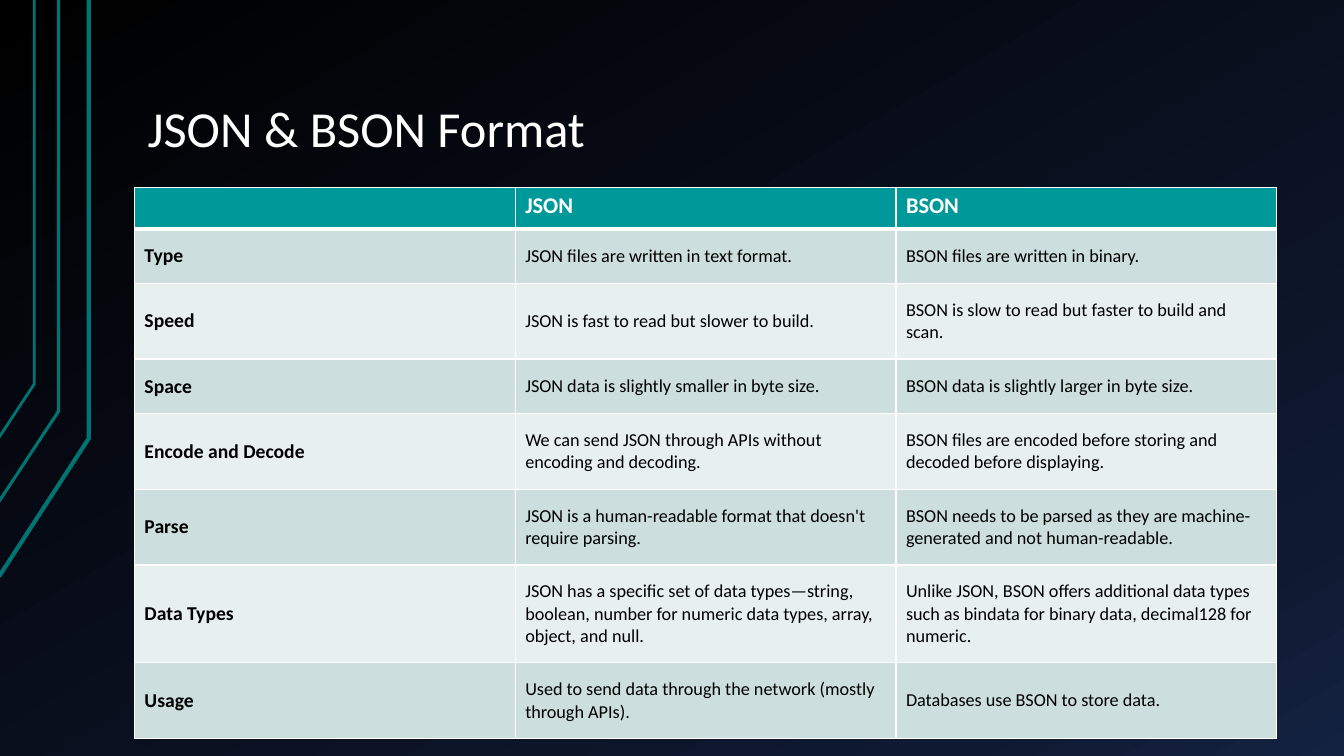
from lxml import etree
from pptx import Presentation
from pptx.dml.color import RGBColor
from pptx.enum.text import MSO_ANCHOR
from pptx.oxml.ns import qn
from pptx.util import Pt

MIDDLE, TOP, BOTTOM = MSO_ANCHOR.MIDDLE, MSO_ANCHOR.TOP, MSO_ANCHOR.BOTTOM
FONT = "Calibri"
COLORS = {
    "white": "FFFFFF", "black": "000000", "teal": "009999", "trace": "007373",
    "odd": "CCDEDE", "even": "E7EFEF",
}
BACKDROP = [(0, "000000"), (85, "0F1931"), (100, "142242")]

HEADING = "JSON & BSON Format"
HEADERS = ("", "JSON", "BSON")
COMPARISON = [
    ("Type", "JSON files are written in text format.",
     "BSON files are written in binary."),
    ("Speed", "JSON is fast to read but slower to build.",
     "BSON is slow to read but faster to build and scan."),
    ("Space", "JSON data is slightly smaller in byte size.",
     "BSON data is slightly larger in byte size."),
    ("Encode and Decode", "We can send JSON through APIs without encoding and decoding.",
     "BSON files are encoded before storing and decoded before displaying."),
    ("Parse", "JSON is a human-readable format that doesn't require parsing.",
     "BSON needs to be parsed as they are machine-generated and not human-readable."),
    ("Data Types",
     "JSON has a specific set of data types\u2014string, boolean, number for numeric "
     "data types, array, object, and null.",
     "Unlike JSON, BSON offers additional data types such as bindata for binary data, "
     "decimal128 for numeric."),
    ("Usage", "Used to send data through the network (mostly through APIs).",
     "Databases use BSON to store data."),
]
LINES_PER_ROW = (1, 2, 1, 2, 2, 3, 2)
HEIGHT_BY_LINES = {1: 39, 2: 54, 3: 70}
HEADER_HEIGHT = 29.5
LEFT, WIDTH, TABLE_TOP = 96, 816, 133.9

TRACES = [
    ([(-0.7, 411.8), (63.4, 313.2), (63.4, 0)], 3),
    ([(-1.4, 359.3), (41.8, 293.8), (41.8, 0)], 2.25),
    ([(-0.7, 312.5), (24.5, 274.3), (24.5, 0)], 2),
]


def rgb(name):
    return RGBColor.from_string(COLORS[name])


def style_runs(frame, size, color, bold=False):
    for paragraph in frame.paragraphs:
        for run in paragraph.runs:
            run.font.name = FONT
            run.font.size = Pt(size)
            run.font.bold = bold
            run.font.color.rgb = rgb(color)


def add_border(cell, side, width):
    border = etree.SubElement(cell._tc.get_or_add_tcPr(), qn(f"a:ln{side}"), w=str(Pt(width)))
    fill = etree.SubElement(border, qn("a:solidFill"))
    etree.SubElement(fill, qn("a:srgbClr"), val=COLORS["white"])


def paint_backdrop(slide):
    fill = slide.background.fill
    fill.gradient()
    fill.gradient_angle = 300
    stops = slide._element.find(".//" + qn("a:gsLst"))
    for stop in list(stops):
        stops.remove(stop)
    for percent, color in BACKDROP:
        stop = etree.SubElement(stops, qn("a:gs"), pos=str(percent * 1000))
        etree.SubElement(stop, qn("a:srgbClr"), val=color)


def add_trace(slide, points, width):
    start, *rest = [(Pt(x), Pt(y)) for x, y in points]
    builder = slide.shapes.build_freeform(*start)
    builder.add_line_segments(rest, close=False)
    trace = builder.convert_to_shape()
    trace.shadow.inherit = False
    trace.fill.background()
    trace.line.color.rgb = rgb("trace")
    trace.line.width = Pt(width)


def add_heading(slide):
    heading = slide.shapes.title
    heading.left, heading.top = Pt(LEFT), Pt(21.6)
    heading.width, heading.height = Pt(WIDTH), Pt(96.5)
    frame = heading.text_frame
    frame.text = HEADING
    frame.word_wrap = True
    frame.vertical_anchor = BOTTOM
    frame.margin_left = frame.margin_right = Pt(9.4)
    frame.margin_top = frame.margin_bottom = Pt(5)
    frame.paragraphs[0].alignment = 1
    frame.paragraphs[0].line_spacing = 0.9
    style_runs(frame, 36, "white")


def fill_cell(cell, text, row, column):
    is_header = row == 0
    for side in "LRTB":
        below_header = (is_header and side == "B") or (row == 1 and side == "T")
        add_border(cell, side, 3 if below_header else 1)
    cell.fill.solid()
    cell.fill.fore_color.rgb = rgb("teal" if is_header else "odd" if row % 2 else "even")
    cell.vertical_anchor = TOP if is_header else MIDDLE
    cell.margin_left = cell.margin_right = Pt(7.2)
    cell.margin_top = cell.margin_bottom = Pt(3.6 if is_header else 11)
    cell.text_frame.text = text
    size = 16 if is_header else 14 if column == 0 else 13
    style_runs(cell.text_frame, size, "white" if is_header else "black",
               is_header or column == 0)


def add_comparison(slide):
    rows = [HEADERS, *COMPARISON]
    heights = [HEADER_HEIGHT] + [HEIGHT_BY_LINES[count] for count in LINES_PER_ROW]
    comparison = slide.shapes.add_table(
        len(rows), len(HEADERS), Pt(LEFT), Pt(TABLE_TOP), Pt(WIDTH), Pt(sum(heights))).table
    for column in comparison.columns:
        column.width = Pt(WIDTH / len(HEADERS))
    for row, (texts, height) in enumerate(zip(rows, heights)):
        comparison.rows[row].height = Pt(height)
        for column, text in enumerate(texts):
            fill_cell(comparison.cell(row, column), text, row, column)


deck = Presentation()
deck.slide_width, deck.slide_height = Pt(960), Pt(540)
slide = deck.slides.add_slide(deck.slide_layouts[5])
paint_backdrop(slide)
for points, width in TRACES:
    add_trace(slide, points, width)
add_heading(slide)
add_comparison(slide)
deck.save("out.pptx")
